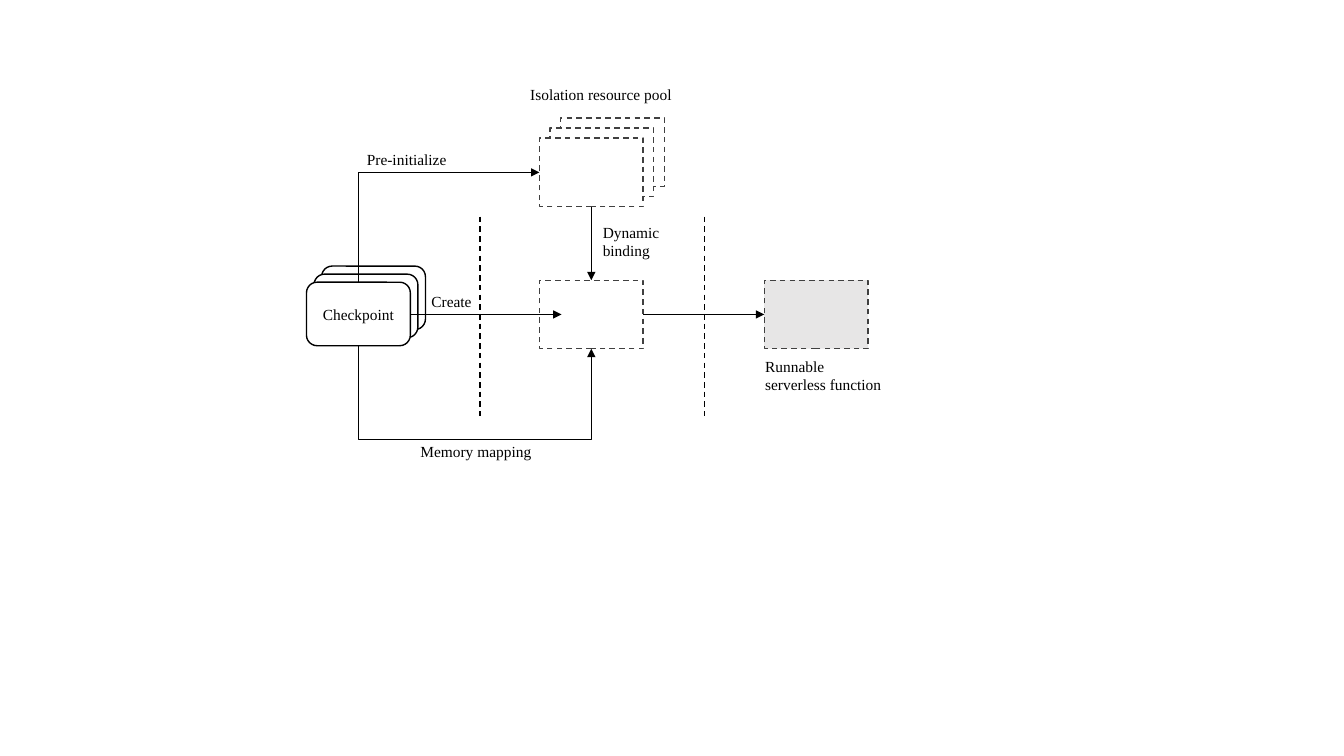
from pptx import Presentation
from pptx import util as u
from pptx.dml.color import RGBColor
from pptx.enum import dml, shapes, text
from pptx.oxml.ns import qn
from lxml import etree

SLIDE = (13.33, 7.5)
BLACK, GREY, WHITE, SHADE = "000000", "404040", "FFFFFF", "E7E6E6"
FONT = {"name": "Times New Roman", "size": u.Pt(11)}
COLS = {"checkpoint": 3.04, "pool": 5.35, "function": 7.58}
ROWS = {"pool": 1.37, "checkpoint": 2.8, "run": 2.78}
BOX_W, BOX_H, CARD_H = 1.03, 0.68, 0.63
DASH = dml.MSO_LINE.DASH
RECT, ROUND = shapes.MSO_SHAPE.RECTANGLE, shapes.MSO_SHAPE.ROUNDED_RECTANGLE

BOXES = [
    ("pool", "run", WHITE),
    ("function", "run", SHADE),
]
STACKS = [
    ("checkpoint", "checkpoint", CARD_H, ROUND, BLACK, None, (0.075, -0.08), "Checkpoint"),
    ("pool", "pool", BOX_H, RECT, GREY, DASH, (0.105, -0.1), ""),
]
DIVIDERS = [4.76, 6.99]
DIVIDER_SPAN = (2.15, 4.13)
LABELS = [
    (5.16, 0.8, 1.75, ["Isolation resource pool"]),
    (4.18, 2.85, 0.65, ["Create"]),
    (5.88, 2.16, 0.78, ["Dynamic", "binding"]),
    (3.54, 1.44, 1.17, ["Pre-initialize"]),
    (4.07, 4.34, 1.42, ["Memory mapping"]),
    (7.49, 3.49, 1.36, ["Runnable", "serverless function"]),
]

mid_card = COLS["checkpoint"] + BOX_W / 2
mid_pool = COLS["pool"] + BOX_W / 2
run_mid, run_end = ROWS["run"] + BOX_H / 2, ROWS["run"] + BOX_H
pool_mid, pool_end = ROWS["pool"] + BOX_H / 2, ROWS["pool"] + BOX_H
card_end = ROWS["checkpoint"] + CARD_H
MAPPING_Y = 4.36
ARROWS = [
    [(COLS["checkpoint"] + BOX_W, run_mid), (5.57, run_mid)],
    [(mid_pool, pool_end), (mid_pool, ROWS["run"])],
    [(COLS["pool"] + BOX_W, run_mid), (COLS["function"], run_mid)],
    [(mid_card, ROWS["checkpoint"]), (mid_card, pool_mid), (COLS["pool"], pool_mid)],
    [(mid_card, card_end), (mid_card, MAPPING_Y), (mid_pool, MAPPING_Y), (mid_pool, run_end)],
]

prs = Presentation()
prs.slide_width, prs.slide_height = map(u.Inches, SLIDE)
s = prs.slides.add_slide(prs.slide_layouts[6])


def rgb(value):
    return RGBColor.from_string(value)


def outline(sp, color, width, dash=None):
    sp.line.color.rgb = rgb(color)
    sp.line.width = u.Pt(width)
    if dash:
        sp.line.dash_style = dash


def write(tf, lines, **options):
    for key, value in options.items():
        setattr(tf, key, value)
    for i, line in enumerate(lines):
        p = tf.add_paragraph() if i else tf.paragraphs[0]
        r = p.add_run()
        r.text = line
        for key, value in FONT.items():
            setattr(r.font, key, value)
        r.font.color.rgb = rgb(BLACK)


def box(parent, kind, x, y, h, fill, color, dash=None):
    sp = parent.shapes.add_shape(kind, *map(u.Inches, (x, y, BOX_W, h)))
    sp.shadow.inherit = False
    sp.fill.solid()
    sp.fill.fore_color.rgb = rgb(fill)
    outline(sp, color, 1, dash)
    return sp


def straight(start, end, width, dash=None):
    sp = s.shapes.add_connector(shapes.MSO_CONNECTOR.STRAIGHT, *map(u.Inches, start + end))
    outline(sp, BLACK, width, dash)
    etree.SubElement(sp._element.spPr, qn("a:effectLst"))
    return sp


def bent(points):
    pts = [tuple(map(u.Inches, pt)) for pt in points]
    path = s.shapes.build_freeform(*pts[0])
    path.add_line_segments(pts[1:], close=False)
    sp = path.convert_to_shape()
    sp.shadow.inherit = False
    sp.fill.background()
    outline(sp, BLACK, 0.75)
    return sp


for col, row, fill in BOXES:
    box(s, RECT, COLS[col], ROWS[row], BOX_H, fill, GREY, DASH)

for col, row, h, kind, color, dash, (dx, dy), caption in STACKS:
    group = s.shapes.add_group_shape()
    for step in (2, 1, 0):
        sp = box(group, kind, COLS[col] + step * dx, ROWS[row] + step * dy, h, WHITE, color, dash)
    if caption:
        write(sp.text_frame, [caption], vertical_anchor=text.MSO_ANCHOR.MIDDLE)
        sp.text_frame.paragraphs[0].alignment = text.PP_ALIGN.CENTER

for x in DIVIDERS:
    straight((x, DIVIDER_SPAN[0]), (x, DIVIDER_SPAN[1]), 1, DASH)

for points in ARROWS:
    sp = straight(*points, 0.75) if len(points) == 2 else bent(points)
    etree.SubElement(sp.line._get_or_add_ln(), qn("a:tailEnd"), type="triangle")

for x, y, w, lines in LABELS:
    h = 0.11 + 0.18 * len(lines)
    sp = s.shapes.add_textbox(*map(u.Inches, (x, y, w, h)))
    write(sp.text_frame, lines, word_wrap=True, auto_size=text.MSO_AUTO_SIZE.SHAPE_TO_FIT_TEXT)

prs.save("out.pptx")
